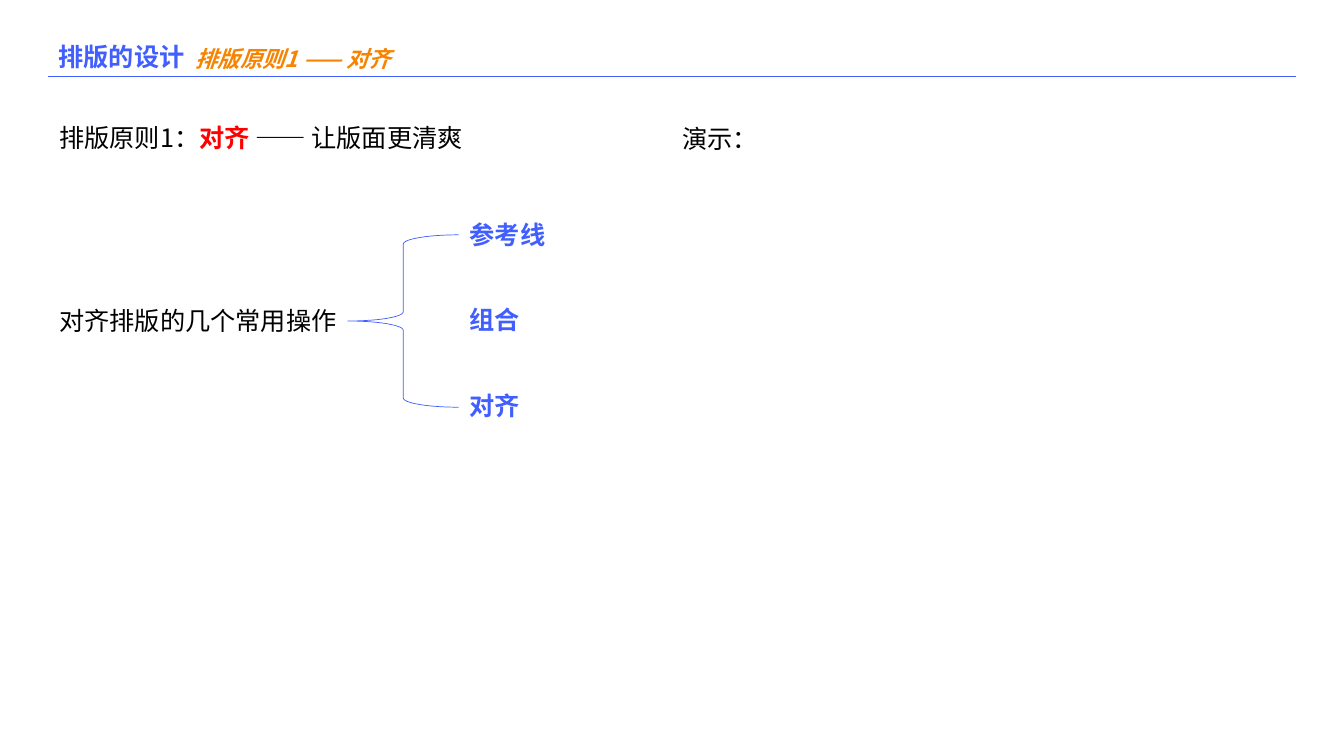
"""Build the slide on the alignment principle of layout design."""
from lxml import etree
from pptx import Presentation
from pptx.dml.color import RGBColor
from pptx.enum.shapes import MSO_CONNECTOR, MSO_SHAPE
from pptx.enum.text import MSO_ANCHOR, MSO_AUTO_SIZE, PP_ALIGN
from pptx.oxml.ns import qn
from pptx.util import Inches, Pt

FONT = "Noto Sans CJK SC"
BLUE, ORANGE, RED, BLACK = "415FFF", "F68400", "FF0000", "000000"


def color(value):
    return RGBColor.from_string(value)


def write(shape, runs, size=18, italic=False):
    frame = shape.text_frame
    frame.word_wrap = True
    frame.auto_size = MSO_AUTO_SIZE.SHAPE_TO_FIT_TEXT
    frame.vertical_anchor = MSO_ANCHOR.TOP
    paragraph = frame.paragraphs[0]
    paragraph.alignment = PP_ALIGN.LEFT
    for text, fill, bold in runs:
        run = paragraph.add_run()
        run.text = text
        font = run.font
        font.name, font.size = FONT, Pt(size)
        font.bold, font.italic = bold, italic
        font.color.rgb = color(fill)
        east_asian = etree.SubElement(run._r.get_or_add_rPr(), qn("a:ea"))
        east_asian.set("typeface", FONT)


presentation = Presentation()
presentation.slide_width, presentation.slide_height = Inches(13.33), Inches(7.5)
slide = presentation.slides.add_slide(presentation.slide_layouts[5])
shapes = slide.shapes

rule = shapes.add_connector(
    MSO_CONNECTOR.STRAIGHT, Inches(12.85), Inches(0.76), Inches(0.48), Inches(0.76))
rule.line.color.rgb = color(BLUE)
rule.line.width = Pt(0.5)
etree.SubElement(rule._element.spPr, qn("a:effectLst"))

title = shapes.title
title.left, title.top = Inches(0.48), Inches(0.36)
title.width, title.height = Inches(1.59), Inches(0.4)
write(title, [("排版的设计", BLUE, True)])

subtitle = shapes.add_textbox(Inches(1.84), Inches(0.4), Inches(2.84), Inches(0.37))
write(subtitle, [("排版原则1 —— 对齐", ORANGE, True)], size=16, italic=True)

principle = shapes.add_textbox(Inches(0.49), Inches(1.16), Inches(4.53), Inches(0.4))
write(principle, [("排版原则1：", BLACK, False), ("对齐 ", RED, True),
                  ("—— 让版面更清爽", BLACK, False)])

demo = shapes.add_textbox(Inches(6.67), Inches(1.17), Inches(1.23), Inches(0.41))
write(demo, [("演示：", BLACK, False)])

operations = shapes.add_group_shape().shapes
topic = operations.add_textbox(Inches(0.49), Inches(2.98), Inches(2.96), Inches(0.4))
write(topic, [("对齐排版的几个常用操作", BLACK, False)])

brace = operations.add_shape(
    MSO_SHAPE.LEFT_BRACE, Inches(3.45), Inches(2.33), Inches(1.1), Inches(1.71))
brace.shadow.inherit = False
brace.fill.background()
brace.line.color.rgb = color(BLUE)
brace.line.width = Pt(0.5)

for index, name in enumerate(["参考线", "组合", "对齐"]):
    operation = operations.add_textbox(
        Inches(4.56), Inches(2.13 + 0.845 * index), Inches(2.96), Inches(0.4))
    write(operation, [(name, BLUE, True)])

presentation.save("out.pptx")
